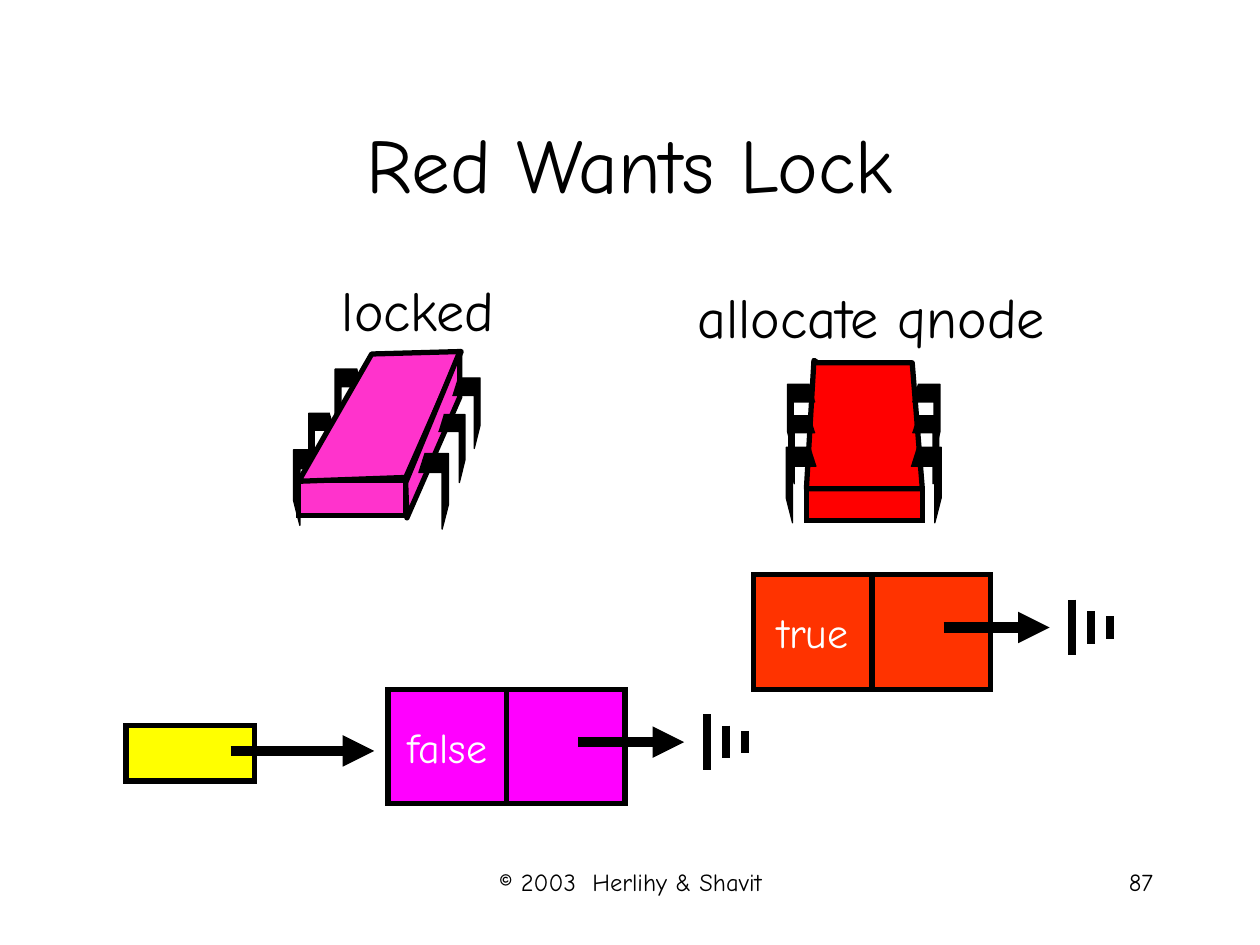
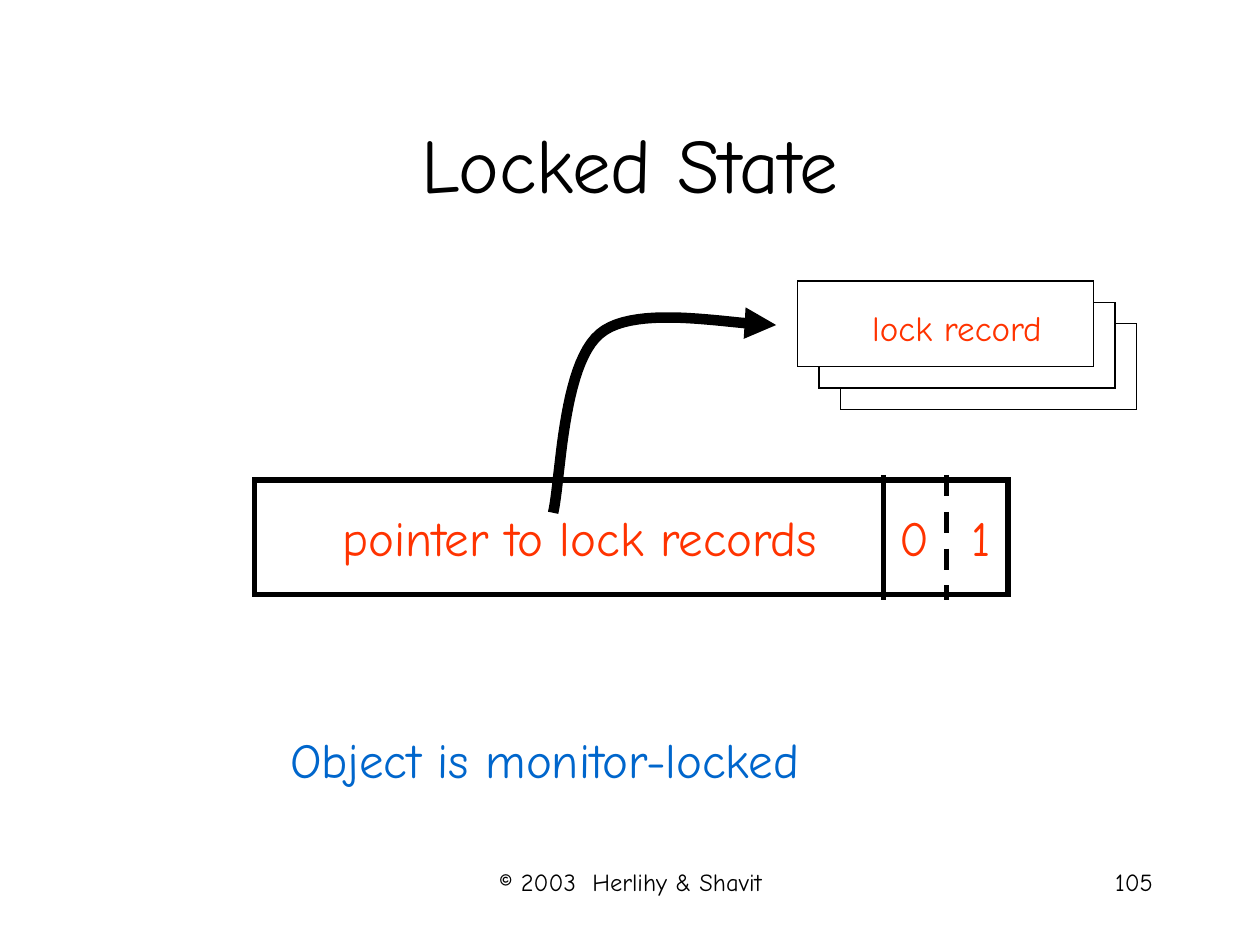
from typing import NamedTuple

from lxml import etree
from pptx import Presentation
from pptx.dml.color import RGBColor
from pptx.enum.dml import MSO_LINE
from pptx.enum.shapes import MSO_CONNECTOR, MSO_SHAPE
from pptx.enum.text import MSO_ANCHOR, MSO_AUTO_SIZE, PP_ALIGN
from pptx.oxml.ns import qn
from pptx.util import Pt

RECTANGLE = MSO_SHAPE.RECTANGLE
STRAIGHT = MSO_CONNECTOR.STRAIGHT
DASH = MSO_LINE.DASH
TOP, MIDDLE = MSO_ANCHOR.TOP, MSO_ANCHOR.MIDDLE
CENTER, RIGHT = PP_ALIGN.CENTER, PP_ALIGN.RIGHT
FIT_SHAPE, NO_FIT = MSO_AUTO_SIZE.SHAPE_TO_FIT_TEXT, MSO_AUTO_SIZE.NONE

PX = 9144  # EMU in one px, 100 px to the inch
FONT = "Comic Neue"
BLACK, WHITE, YELLOW = "000000", "FFFFFF", "FFFF00"
RED, ORANGE, MAGENTA, PINK, BLUE = "FF0000", "FF3300", "FF00FF", "FF33CC", "0066CC"
OUTLINE, THIN = 3, 0.75
TITLE_ONLY = 5
CURVE_STEPS = 24
COPYRIGHT = "© 2003  Herlihy & Shavit"

Point = tuple[float, float]


class Box(NamedTuple):
    left: int
    top: int
    width: int
    height: int


class Label(NamedTuple):
    text: str
    box: Box
    size: int
    color: str = BLACK
    align: PP_ALIGN = CENTER


class Leg(NamedTuple):
    foot_x: int
    top: int
    width: int  # negative when the leg stands on the right of the body
    height: int


class Thread(NamedTuple):
    color: str
    front: Box
    faces: list[list[Point]]
    rear_legs: list[Leg]
    front_legs: list[Leg]


class QueueNode(NamedTuple):
    value: str
    left: int
    top: int
    color: str


# Slide 1
LOCK_HOLDER = Thread(
    PINK, Box(237, 381, 85, 28),
    [[(237, 382), (322, 379), (366, 279), (295, 281)],
     [(365, 279), (365, 315), (323, 411), (322, 383)]],
    [Leg(233, 357, 24, 60), Leg(245, 328, 21, 54), Leg(266, 293, 22, 56)],
    [Leg(356, 360, -24, 60), Leg(369, 329, -21, 54), Leg(381, 300, -22, 56)])
RED_THREAD = Thread(
    RED, Box(640, 388, 92, 25),
    [[(649, 288), (724, 288), (732, 388), (640, 388), (646, 286)]],
    [],
    [Leg(747, 355, -24, 60), Leg(745, 330, -21, 54), Leg(746, 305, -22, 56),
     Leg(624, 355, 24, 60), Leg(626, 330, 21, 54), Leg(625, 305, 22, 56)])
QUEUE_NODES = [QueueNode("false", 308, 547, MAGENTA), QueueNode("true", 598, 456, ORANGE)]
THREAD_LABELS = [Label("locked", Box(261, 214, 142, 64), 32),
                 Label("allocate qnode", Box(543, 219, 297, 64), 32)]
TAIL = Box(100, 576, 102, 44)
NODE_WIDTH, NODE_HEIGHT = 94, 91
NULL_BARS = (22, 13, 9)  # half heights
NULL_GAP = 15

# Slide 2
HEADER_WORD = Box(202, 381, 598, 91)
HEADER_LABELS = [Label("Object is monitor-locked", Box(217, 574, 427, 57), 28, BLUE, RIGHT),
                 Label("pointer to lock records", Box(253, 398, 414, 57), 28, ORANGE),
                 Label("0", Box(704, 398, 43, 57), 28, ORANGE),
                 Label("1", Box(761, 398, 35, 57), 28, ORANGE)]
RECORD_LABEL = Label("lock record", Box(677, 238, 165, 44), 20, ORANGE)
RECORD = Box(633, 223, 235, 68)
RECORD_COUNT, RECORD_STEP = 3, 17
POINTER_CURVES = [((439, 407), (445, 383), (446, 290), (476, 265)),
                  ((476, 265), (505, 240), (587, 259), (616, 258))]


def color_of(value: str) -> RGBColor:
    return RGBColor.from_string(value)


def emu(box: Box) -> list[int]:
    return [length * PX for length in box]


def write(frame, text: str, size: int, color: str = BLACK, align=CENTER,
          anchor=TOP, wrap: bool = True, fit=NO_FIT) -> None:
    frame.word_wrap = wrap
    frame.auto_size = fit
    frame.vertical_anchor = anchor
    paragraph = frame.paragraphs[0]
    paragraph.alignment = align
    run = paragraph.add_run()
    run.text = text
    run.font.name = FONT
    run.font.size = Pt(size)
    run.font.color.rgb = color_of(color)


def add_label(shapes, label: Label) -> None:
    frame = shapes.add_textbox(*emu(label.box)).text_frame
    write(frame, label.text, label.size, label.color, label.align, wrap=False, fit=FIT_SHAPE)


def paint(shape, fill: str | None, width: float) -> None:
    shape.shadow.inherit = False
    if fill:
        shape.fill.solid()
        shape.fill.fore_color.rgb = color_of(fill)
    else:
        shape.fill.background()
    shape.line.color.rgb = color_of(BLACK)
    shape.line.width = Pt(width)


def add_line_part(shape, tag: str, **attributes: str) -> None:
    outline = shape.element.spPr.find(qn("a:ln"))
    etree.SubElement(outline, qn(tag), attributes)


def add_rectangle(shapes, box: Box, fill: str | None, width: float = OUTLINE):
    rectangle = shapes.add_shape(RECTANGLE, *emu(box))
    paint(rectangle, fill, width)
    add_line_part(rectangle, "a:miter", lim="800000")
    return rectangle


def add_outline(shapes, points: list[Point], fill: str | None, width: float, close: bool):
    scaled = [(round(x * PX), round(y * PX)) for x, y in points]
    builder = shapes.build_freeform(*scaled[0])
    builder.add_line_segments(scaled[1:], close=close)
    outline = builder.convert_to_shape()
    paint(outline, fill, width)
    return outline


def add_line(shapes, start: Point, end: Point, width: float,
             arrow: bool = False, dash: MSO_LINE | None = None) -> None:
    line = shapes.add_connector(STRAIGHT, *(value * PX for value in (*start, *end)))
    line.line.color.rgb = color_of(BLACK)
    line.line.width = Pt(width)
    if dash:
        line.line.dash_style = dash
    if arrow:
        add_line_part(line, "a:tailEnd", type="triangle")
    etree.SubElement(line.element.spPr, qn("a:effectLst"))


def add_leg(shapes, leg: Leg) -> None:
    corners = [(0.8, 0), (0, 0), (0, 0.67), (0.21, 1), (0.21, 0.25), (1, 0.25)]
    points = [(leg.foot_x + x * leg.width, leg.top + y * leg.height) for x, y in corners]
    add_outline(shapes, points, BLACK, THIN, close=False)


def add_thread(shapes, thread: Thread) -> None:
    parts = shapes.add_group_shape().shapes
    add_rectangle(parts, thread.front, thread.color)
    for leg in thread.rear_legs:
        add_leg(parts, leg)
    for face in thread.faces:
        add_outline(parts, face, thread.color, OUTLINE, close=True)
    for leg in thread.front_legs:
        add_leg(parts, leg)


def add_queue_node(shapes, node: QueueNode) -> None:
    value_box = Box(node.left, node.top, NODE_WIDTH, NODE_HEIGHT)
    value_cell = add_rectangle(shapes, value_box, node.color)
    write(value_cell.text_frame, node.value, 24, WHITE, anchor=MIDDLE, wrap=False)
    add_rectangle(shapes, value_box._replace(left=node.left + NODE_WIDTH), node.color)
    # Next pointer and the null symbol it leads to
    axis = node.top + 42
    add_line(shapes, (node.left + 151, axis), (node.left + 235, axis), 6, arrow=True)
    null_symbol = shapes.add_group_shape().shapes
    for index, half in enumerate(NULL_BARS):
        x = node.left + 253 + index * NULL_GAP
        add_line(null_symbol, (x, axis - half), (x, axis + half), 4.5)


def curve_points(curve: tuple[Point, ...]) -> list[Point]:
    points = []
    for step in range(CURVE_STEPS + 1):
        t = step / CURVE_STEPS
        weights = ((1 - t) ** 3, 3 * t * (1 - t) ** 2, 3 * t ** 2 * (1 - t), t ** 3)
        points.append((sum(w * x for w, (x, _) in zip(weights, curve)),
                       sum(w * y for w, (_, y) in zip(weights, curve))))
    return points


def add_slide(deck, heading: str, number: int):
    slide = deck.slides.add_slide(deck.slide_layouts[TITLE_ONLY])
    title = slide.shapes.title
    title.left, title.top, title.width, title.height = emu(Box(75, 67, 850, 125))
    write(title.text_frame, heading, 44, anchor=MIDDLE)
    copyright_box = slide.shapes.add_textbox(*emu(Box(342, 683, 317, 50)))
    write(copyright_box.text_frame, COPYRIGHT, 14)
    number_box = slide.shapes.add_textbox(*emu(Box(717, 683, 208, 50)))
    write(number_box.text_frame, str(number), 14, align=RIGHT)
    return slide.shapes


def build_red_wants_lock(deck) -> None:
    shapes = add_slide(deck, "Red Wants Lock", 87)
    for thread in (LOCK_HOLDER, RED_THREAD):
        add_thread(shapes, thread)
    for label in THREAD_LABELS:
        add_label(shapes, label)
    # Queue tail and nodes
    add_rectangle(shapes, TAIL, YELLOW)
    add_line(shapes, (183, 596), (297, 596), 6, arrow=True)
    for node in QUEUE_NODES:
        add_queue_node(shapes, node)


def build_locked_state(deck) -> None:
    shapes = add_slide(deck, "Locked State", 105)
    # Header word with its two state bits
    add_rectangle(shapes, HEADER_WORD, None)
    for x, dash in ((751, DASH), (701, None)):
        add_line(shapes, (x, 377), (x, 476), OUTLINE, dash=dash)
    for label in HEADER_LABELS:
        add_label(shapes, label)
    # Curved pointer
    first, second = (curve_points(curve) for curve in POINTER_CURVES)
    pointer = add_outline(shapes, first + second[1:], None, 6, close=False)
    add_line_part(pointer, "a:tailEnd", type="triangle")
    # Stack of lock records, rearmost first
    for depth in reversed(range(RECORD_COUNT)):
        shift = depth * RECORD_STEP
        record = RECORD._replace(left=RECORD.left + shift, top=RECORD.top + shift)
        add_rectangle(shapes, record, WHITE, THIN)
    add_label(shapes, RECORD_LABEL)


def main() -> None:
    deck = Presentation()
    deck.slide_width, deck.slide_height = 1000 * PX, 750 * PX
    build_red_wants_lock(deck)
    build_locked_state(deck)
    deck.save("out.pptx")


if __name__ == "__main__":
    main()
